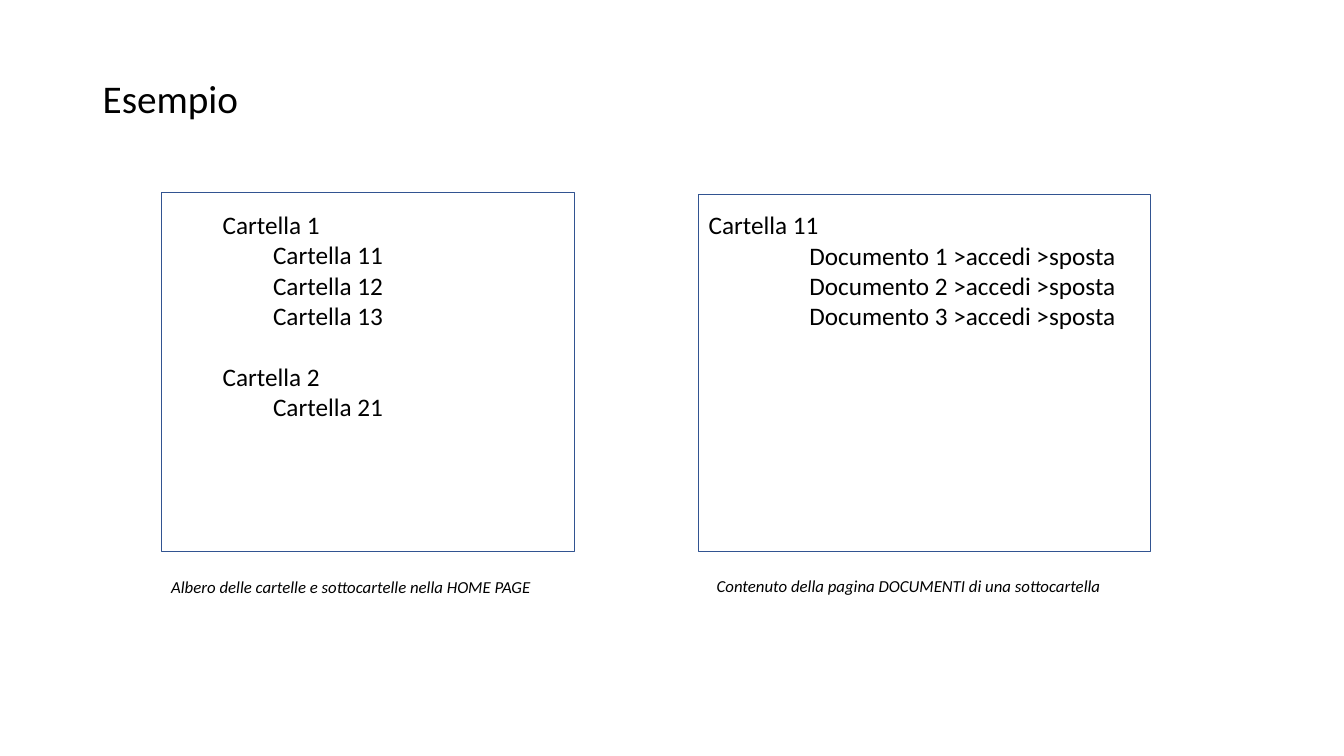
"""Build the slide with the folder tree and the folder content example."""
from pptx import Presentation
from pptx.dml.color import RGBColor
from pptx.enum.shapes import MSO_SHAPE
from pptx.util import Inches, Pt

RECTANGLE = MSO_SHAPE.RECTANGLE
COLOURS = {"text": "000000", "frame": "325491"}
BODY = {"size": Pt(18)}
TITLE = {"size": Pt(28)}
CAPTION = {"size": Pt(12), "italic": True}
GROUP_GAP = Pt(22)

FOLDER_TREE = [
    ("Cartella 1", 1, 0),
    ("Cartella 11", 1.5, 0),
    ("Cartella 12", 1.5, 0),
    ("Cartella 13", 1.5, 0),
    ("Cartella 2", 1, GROUP_GAP),
    ("Cartella 21", 1.5, 0),
]
FOLDER_CONTENT = [("Cartella 11", 0, 0)] + [
    (f"Documento {number} >accedi >sposta", 1, 0) for number in (1, 2, 3)
]


def add_text(slide, place, entries, style, line_spacing=1.0):
    """Add a text box with one paragraph per (wording, indent, gap) entry."""
    frame = slide.shapes.add_textbox(*map(Inches, place)).text_frame
    frame.word_wrap = True
    for index, (wording, indent, gap) in enumerate(entries):
        paragraph = frame.add_paragraph() if index else frame.paragraphs[0]
        paragraph.line_spacing = line_spacing
        if indent:
            paragraph._p.get_or_add_pPr().set("marL", str(Inches(indent)))
        if gap:
            paragraph.space_before = gap
        run = paragraph.add_run()
        run.text = wording
        for attribute, value in {"name": "Calibri", **style}.items():
            setattr(run.font, attribute, value)
        run.font.color.rgb = RGBColor.from_string(COLOURS["text"])


def add_frame(slide, place):
    """Add an unfilled outlined rectangle."""
    frame = slide.shapes.add_shape(RECTANGLE, *map(Inches, place))
    frame.shadow.inherit = False
    frame.fill.background()
    frame.line.color.rgb = RGBColor.from_string(COLOURS["frame"])
    frame.line.width = Pt(1)


def main():
    """Build and save the slide."""
    deck = Presentation()
    deck.slide_width, deck.slide_height = Inches(13.33), Inches(7.5)
    slide = deck.slides.add_slide(deck.slide_layouts[6])

    add_text(slide, (0.92, 0.74, 11.5, 6.01), [("Esempio", 0, 0)], TITLE, 0.9)
    add_text(slide, (1.11, 2.03, 4.59, 2.83), FOLDER_TREE, BODY)
    add_text(slide, (6.93, 2.03, 5.12, 1.92), FOLDER_CONTENT, BODY)
    add_frame(slide, (1.6, 1.91, 4.1, 3.56))
    add_frame(slide, (6.93, 1.93, 4.48, 3.54))
    add_text(slide, (1.6, 5.67, 4.1, 0.91),
             [("Albero delle cartelle e sottocartelle nella HOME PAGE", 0, 0)], CAPTION)
    add_text(slide, (7.01, 5.66, 4.1, 1.21),
             [("Contenuto della pagina DOCUMENTI di una sottocartella", 0, 0)], CAPTION)
    deck.save("out.pptx")


if __name__ == "__main__":
    main()
